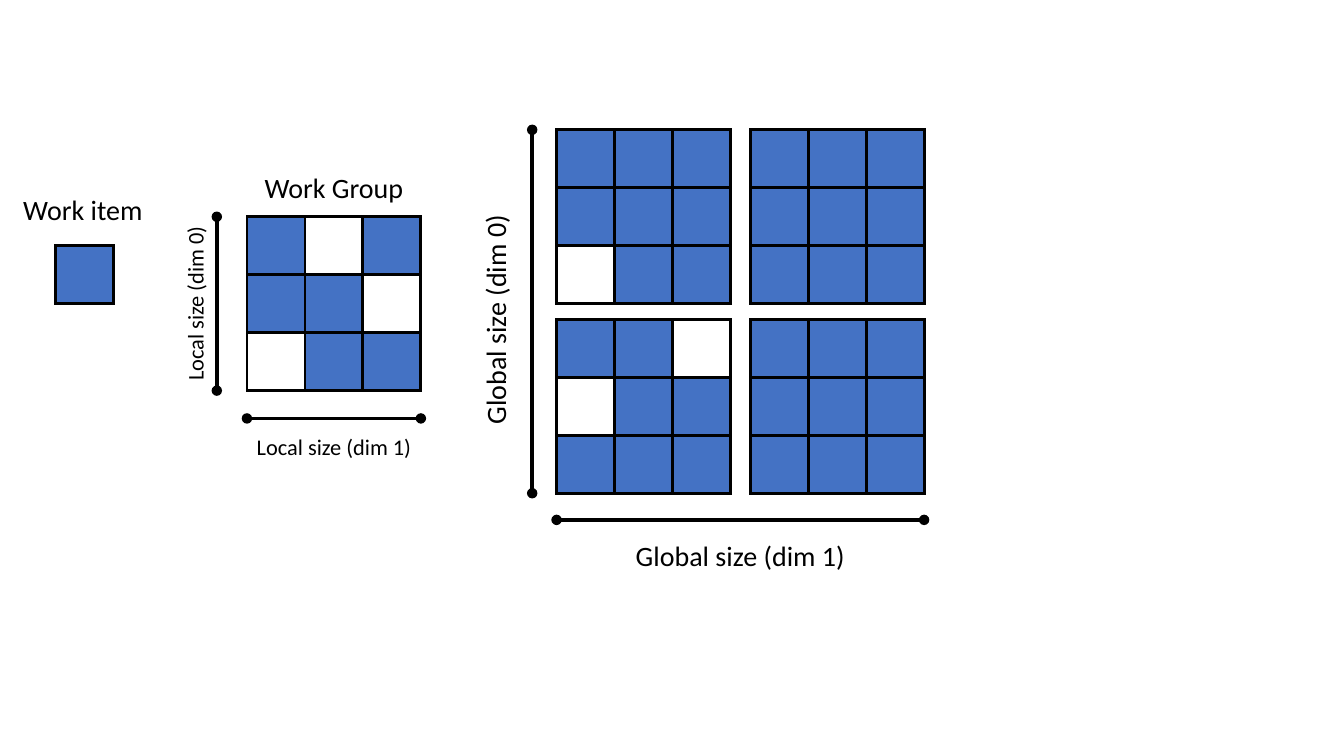
"""Draw a work item, a work group and a global range with their dimensions."""
from lxml import etree
from pptx import Presentation
from pptx.dml.color import RGBColor
from pptx.enum.shapes import MSO_CONNECTOR, MSO_SHAPE
from pptx.enum.text import MSO_AUTO_SIZE, PP_ALIGN
from pptx.oxml.ns import qn
from pptx.util import Inches, Pt

LINE = MSO_CONNECTOR.STRAIGHT
RECT = MSO_SHAPE.RECTANGLE
FIT = MSO_AUTO_SIZE.SHAPE_TO_FIT_TEXT
CENTER = PP_ALIGN.CENTER
FONT = "Calibri"
COLORS = {"active": "4472C4", "idle": "FFFFFF", "ink": "000000"}
SIDE = 3
PITCH_X, PITCH_Y = 3.34, 3.27


def grid(n):
    """Convert a number of work item cells to a length."""
    return Inches(n * 0.575)


def color(name):
    """Return the named colour."""
    return RGBColor.from_string(COLORS[name])


def add_label(s, text, cx, cy, width, size, turn=0):
    """Centre a one-line label on a grid point."""
    height = 0.03 * size + 0.16
    sp = s.shapes.add_textbox(grid(cx - width / 2), grid(cy - height / 2),
                              grid(width), grid(height))
    sp.rotation = turn
    tf = sp.text_frame
    tf.text = text
    tf.word_wrap = False
    tf.auto_size = FIT
    p = tf.paragraphs[0]
    p.alignment = CENTER
    font = p.runs[0].font
    font.name, font.size = FONT, Pt(size)
    font.color.rgb = color("ink")


def add_axis(s, x1, y1, x2, y2):
    """Draw a measuring line with a dot at each end."""
    sp = s.shapes.add_connector(LINE, grid(x1), grid(y1), grid(x2), grid(y2))
    sp.line.color.rgb = color("ink")
    sp.line.width = Pt(2.5)
    ln = sp.line._get_or_add_ln()
    for end in ("a:headEnd", "a:tailEnd"):
        etree.SubElement(ln, qn(end), type="oval")
    etree.SubElement(sp._element.spPr, qn("a:effectLst"))


def add_cell(s, x, y, state="active"):
    """Draw one work item cell."""
    sp = s.shapes.add_shape(RECT, grid(x), grid(y), grid(1), grid(1))
    sp.shadow.inherit = False
    sp.fill.solid()
    sp.fill.fore_color.rgb = color(state)
    sp.line.color.rgb = color("ink")
    sp.line.width = Pt(2)
    etree.SubElement(sp.line._get_or_add_ln(), qn("a:miter"), lim="800000")


def add_block(s, x, y, idle):
    """Draw a square block of cells, with idle (row, column) cells blank."""
    for row in range(SIDE):
        for col in range(SIDE):
            state = "idle" if (row, col) in idle else "active"
            add_cell(s, x + col, y + row, state)


def add_work_item(s, x, y):
    """Draw the single work item and its title."""
    add_label(s, "Work item", x + 0.47, y - 0.63, 2.43, 20)
    add_cell(s, x, y)


def add_work_group(s, x, y):
    """Draw one work group with its title and local sizes."""
    mid = SIDE / 2
    add_block(s, x, y, {(0, 1), (1, 2), (2, 0)})
    add_label(s, "Work Group", x + mid, y - 0.5, 2.77, 20)
    add_axis(s, x - 0.52, y, x - 0.52, y + SIDE)
    add_axis(s, x, y + SIDE + 0.48, x + SIDE, y + SIDE + 0.48)
    add_label(s, "Local size (dim 0)", x - 0.9, y + mid, 3.04, 16, 270)
    add_label(s, "Local size (dim 1)", x + mid, y + SIDE + 0.96, 3.04, 16)


def add_global_range(s, x, y):
    """Draw the four work groups with their global sizes."""
    width, height = PITCH_X + SIDE, PITCH_Y + SIDE
    idle = {(0, 0): {(2, 0)}, (1, 0): {(0, 2), (1, 0)}}
    for row in range(2):
        for col in range(2):
            add_block(s, x + col * PITCH_X, y + row * PITCH_Y,
                      idle.get((row, col), set()))
    add_axis(s, x - 0.42, y, x - 0.42, y + height)
    add_axis(s, x, y + height + 0.46, x + width, y + height + 0.46)
    add_label(s, "Global size (dim 0)", x - 1.06, y + height / 2 + 0.14,
              4, 20, 270)
    add_label(s, "Global size (dim 1)", x + width / 2, y + height + 1.08,
              4, 20)


def main():
    """Build and save the slide."""
    prs = Presentation()
    prs.slide_width, prs.slide_height = Inches(13.33), Inches(7.5)
    s = prs.slides.add_slide(prs.slide_layouts[6])
    add_work_item(s, 0.96, 4.24)
    add_work_group(s, 4.26, 3.74)
    add_global_range(s, 9.6, 2.24)
    prs.save("out.pptx")


main()
